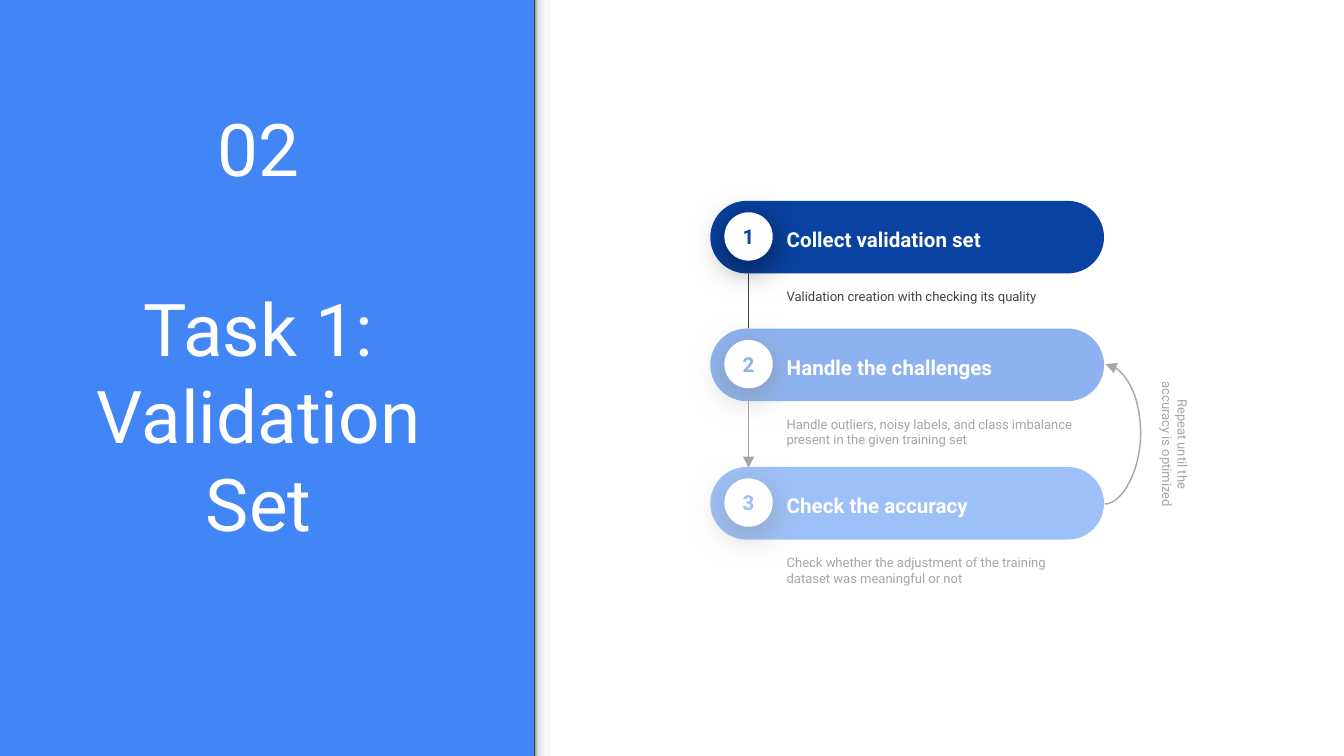
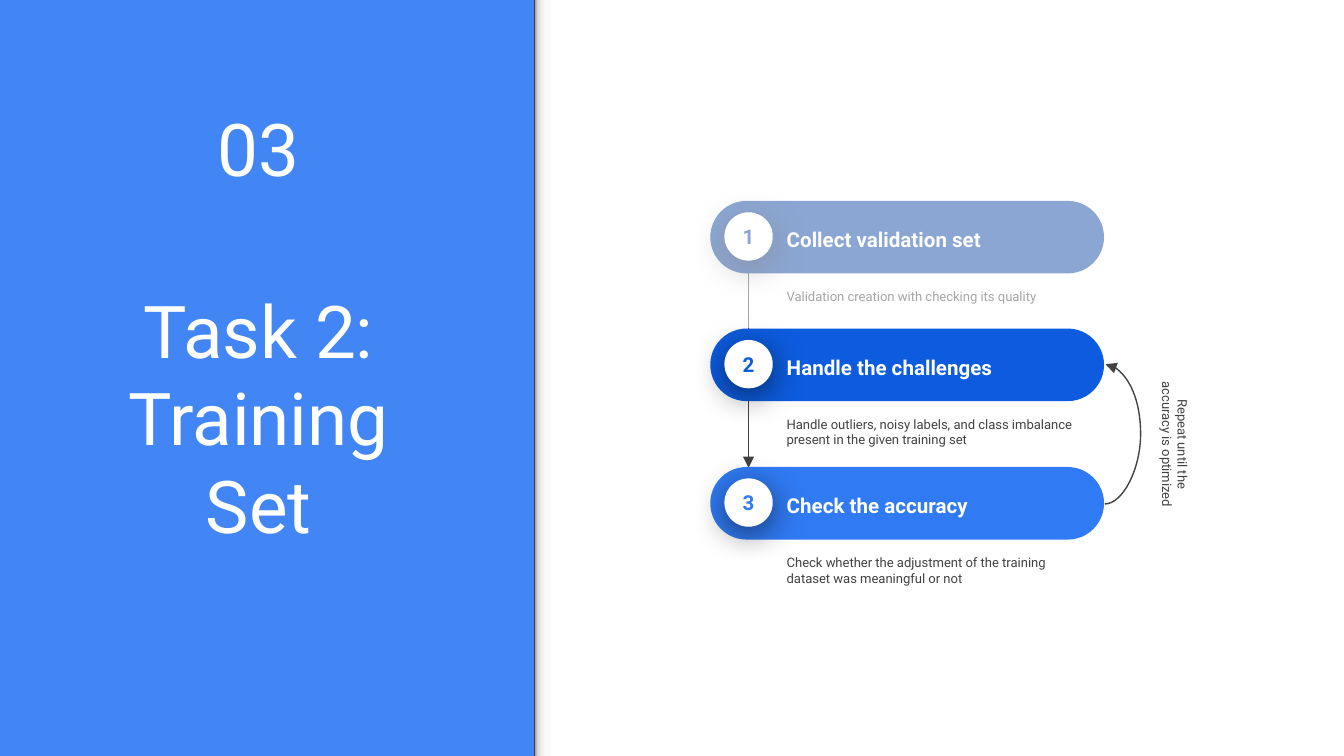
from pptx import Presentation
from pptx import util as u
from pptx.dml.color import RGBColor
from pptx.enum import shapes, text
from pptx.oxml import parse_xml
from pptx.oxml.ns import nsdecls, qn

PX = 4572  # 200 px to the inch
FONT = "Roboto"
HUES = {"panel": "4285F4", "ink": "424242", "white": "FFFFFF",
        "navy": "0942A1", "blue": "0D5CDF", "sky": "307AF3"}
EDGE = [(0, "999999"), (20, "DEDEDE"), (64, "F9F9F9"), (100, "F9F9F9")]
STEPS = [
    (299, "navy", "Collect validation set",
     "Validation creation with checking its quality"),
    (489, "blue", "Handle the challenges",
     "Handle outliers, noisy labels, and class imbalance present in the given training set"),
    (695, "sky", "Check the accuracy",
     "Check whether the adjustment of the training dataset was meaningful or not"),
]
# number, title, title box, veil over the steps not in focus
PAGES = [
    ("02", "Task 1: Validation Set", (74, 338, 622, 558), (1038, 488, 760, 594)),
    ("03", "Task 2: Training\nSet", (74, 344, 622, 552), (1038, 226, 760, 262)),
]
KIND = shapes.MSO_SHAPE
MID, TOP = text.MSO_ANCHOR.MIDDLE, text.MSO_ANCHOR.TOP
LEFT, MIDST = text.PP_ALIGN.LEFT, text.PP_ALIGN.CENTER


def draw(home, kind, box, hue):
    """Add a flat filled shape without outline or shadow."""
    shape = home.add_shape(kind, *[n * PX for n in box])
    shape.fill.solid()
    shape.fill.fore_color.rgb = RGBColor.from_string(HUES[hue])
    shape.line.fill.background()
    shape.shadow.inherit = False
    return shape


def write(shape, words, size, hue, bold=False, align=LEFT, anchor=TOP, inset=20, space=None):
    frame = shape.text_frame
    frame.text = words
    frame.word_wrap = True
    frame.auto_size = text.MSO_AUTO_SIZE.NONE
    frame.vertical_anchor = anchor
    frame.margin_left = frame.margin_right = inset * PX
    frame.margin_top = frame.margin_bottom = inset * PX
    for para in frame.paragraphs:
        para.alignment = align
        para.line_spacing = space
        para.font.name = FONT
        para.font.size = u.Pt(size)
        para.font.bold = bold
        para.font.color.rgb = RGBColor.from_string(HUES[hue])


prs = Presentation()
prs.slide_width, prs.slide_height = 2000 * PX, 1125 * PX
layout = prs.slide_layouts[5]
slides = [prs.slides.add_slide(layout) for page in PAGES]

# Shared side panel with its soft edge, kept on the layout
for holder in list(layout.placeholders)[1:]:
    holder.element.getparent().remove(holder.element)
panel = draw(slides[0].shapes, KIND.RECTANGLE, (-26, -16, 822, 1162), "panel")
panel.line.color.rgb = RGBColor.from_string(HUES["ink"])
panel.line.width = u.Pt(0.75)
edge = draw(slides[0].shapes, KIND.RECTANGLE, (796, -16, 24, 1164), "white")
stops = "".join(f'<a:gs pos="{at * 1000}"><a:srgbClr val="{hue}"/></a:gs>' for at, hue in EDGE)
flat = edge.element.spPr.find(qn("a:solidFill"))
edge.element.spPr.replace(flat, parse_xml(
    f'<a:gradFill {nsdecls("a")}><a:gsLst>{stops}</a:gsLst><a:lin ang="0" scaled="0"/></a:gradFill>'))
for spot, part in enumerate((panel, edge), 2):
    layout.shapes.element.insert(spot, part.element)

for slide, (num, name, spot, veil) in zip(slides, PAGES):
    home = slide.shapes
    title = home.title
    title.left, title.top, title.width, title.height = [n * PX for n in spot]
    write(title, name, 39, "white", align=MIDST, anchor=MID)
    count = home.add_textbox(*[n * PX for n in (74, 134, 622, 172)])
    write(count, num, 39, "white", align=MIDST, anchor=MID)

    links = [home.add_connector(shapes.MSO_CONNECTOR.STRAIGHT,
                                1114 * PX, 388 * PX, 1114 * PX, 696 * PX)]

    for order, (top, hue, label, note) in enumerate(STEPS, 1):
        group = home.add_group_shape().shapes
        pill = draw(group, KIND.ROUNDED_RECTANGLE, (1057, top, 586, 108), hue)
        pill.adjustments[0] = 0.5
        disc = draw(group, KIND.OVAL, (1078, top + 17, 72, 72), "white")
        write(disc, str(order), 11, hue, True, MIDST, MID, inset=0)
        disc.element.spPr.find(qn("a:effectLst")).append(parse_xml(
            f'<a:outerShdw {nsdecls("a")} blurRad="{u.Pt(18)}" dist="{u.Pt(4)}" dir="5400000"'
            ' algn="bl" rotWithShape="0"><a:srgbClr val="000000"><a:alpha val="55000"/>'
            '</a:srgbClr></a:outerShdw>'))
        head = group.add_textbox(*[n * PX for n in (1151, top + 17, 450, 76)])
        write(head, label, 11, "white", True, anchor=MID, space=1.15)
        body = group.add_textbox(*[n * PX for n in (1151, top + 110, 492, 98)])
        write(body, note, 7, "ink")

    side = home.add_textbox(*[n * PX for n in (1622, 612, 242, 98)])
    side.rotation = 90
    write(side, "Repeat until the accuracy is optimized", 7, "ink", align=MIDST)

    # Return loop from step 3 to step 2, bulging 52 px to the right
    loop = home.add_connector(shapes.MSO_CONNECTOR.CURVE,
                              1645 * PX, 542 * PX, 1644 * PX, 750 * PX)
    loop.element.spPr.find(qn("a:xfrm")).set("rot", "10800000")
    geom = loop.element.spPr.find(qn("a:prstGeom"))
    geom.replace(geom.find(qn("a:avLst")), parse_xml(
        f'<a:avLst {nsdecls("a")}><a:gd name="adj1" fmla="val 5200000"/></a:avLst>'))
    links.append(loop)

    for link in links:
        link.line.color.rgb = RGBColor.from_string(HUES["ink"])
        link.line.width = u.Pt(0.75)
        props = link.element.spPr
        props.find(qn("a:ln")).append(parse_xml(f'<a:tailEnd {nsdecls("a")} type="triangle"/>'))
        props.append(parse_xml(f'<a:effectLst {nsdecls("a")}/>'))

    cover = draw(home, KIND.FLOWCHART_PROCESS, veil, "white")
    tint = cover.element.spPr.find(qn("a:solidFill")).find(qn("a:srgbClr"))
    tint.append(parse_xml(f'<a:alpha {nsdecls("a")} val="53000"/>'))

prs.save("out.pptx")
